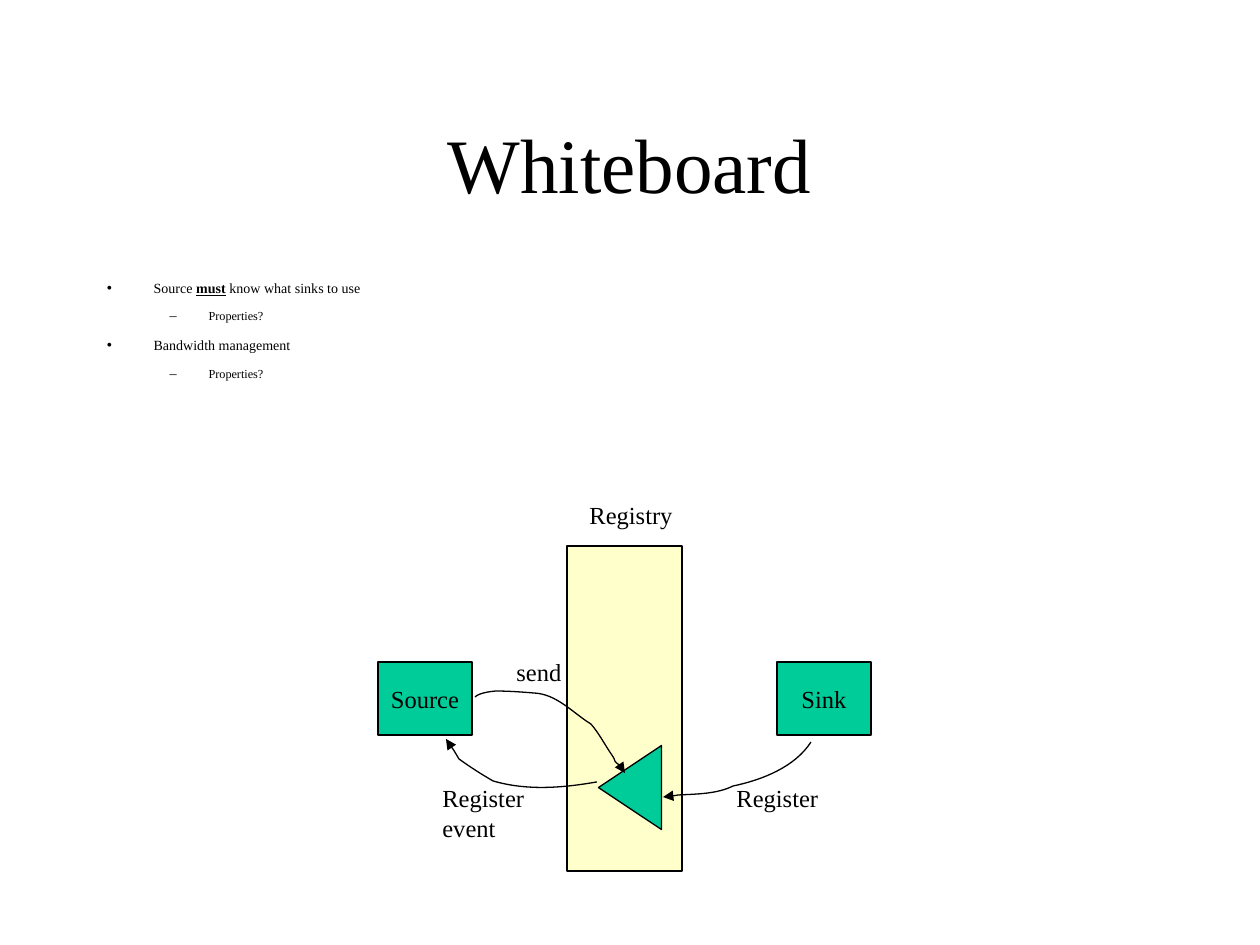
from dataclasses import dataclass

from lxml import etree
from pptx import Presentation
from pptx import util as u
from pptx.dml.color import RGBColor
from pptx.enum import shapes, text
from pptx.oxml.ns import qn

EMU_PER_PX = 914400 / 126
FONT = "Times New Roman"
BLACK, GREEN, CREAM = "000000", "00CC99", "FFFFCC"

Point = tuple[int, int]
Frame = tuple[int, int, int, int]


@dataclass(frozen=True)
class Block:
    frame: Frame
    fill: str
    label: str = ""
    kind: shapes.MSO_SHAPE = shapes.MSO_SHAPE.RECTANGLE
    rotation: int = 0


@dataclass(frozen=True)
class Caption:
    frame: Frame
    wording: str


@dataclass(frozen=True)
class Flow:
    start: Point
    curves: tuple[tuple[Point, Point, Point], ...]


@dataclass(frozen=True)
class Level:
    bullet: str
    margin: int
    indent: int
    size: int


LEVELS = (Level("•", 47, -47, 8), Level("–", 102, -39, 7))
TOPICS = (
    (0, ("Source ", "must", " know what sinks to use")),
    (1, ("Properties?",)),
    (0, ("Bandwidth management",)),
    (1, ("Properties?",)),
)
SOURCE = Block((378, 662, 94, 73), GREEN, "Source")
SINK = Block((777, 662, 94, 73), GREEN, "Sink")
REGISTRY = Block((567, 546, 115, 325), CREAM)
EVENT = Block((588, 756, 84, 63), GREEN,
              kind=shapes.MSO_SHAPE.ISOSCELES_TRIANGLE, rotation=270)
SINK_TO_EVENT = Flow((811, 742), (
    ((795, 767), (762, 780), (733, 786)),
    ((717, 794), (697, 794), (678, 795)),
    ((673, 796), (663, 797), (663, 797)),
))
EVENT_TO_SOURCE = Flow((597, 782), (
    ((563, 788), (527, 791), (493, 781)),
    ((481, 774), (470, 767), (459, 759)),
    ((452, 747), (451, 747), (446, 739)),
))
SOURCE_TO_EVENT = Flow((475, 697), (
    ((480, 692), (496, 691), (496, 691)),
    ((509, 691), (522, 692), (534, 693)),
    ((557, 694), (573, 713), (591, 724)),
    ((599, 733), (605, 745), (612, 755)),
    ((614, 756), (614, 760), (615, 761)),
    ((617, 764), (621, 765), (622, 767)),
    ((625, 772), (625, 770), (625, 773)),
))
DIAGRAM = (
    SOURCE, SINK, REGISTRY, Caption((577, 494, 109, 43), "Registry"),
    SINK_TO_EVENT, Caption((724, 777, 108, 43), "Register"), EVENT,
    EVENT_TO_SOURCE, Caption((430, 777, 108, 72), "Register\nevent"),
    SOURCE_TO_EVENT, Caption((504, 651, 71, 43), "send"),
)


def px(length: float) -> u.Emu:
    return u.Emu(round(length * EMU_PER_PX))


def color(value: str) -> RGBColor:
    return RGBColor.from_string(value)


def style(font, size: int) -> None:
    font.name = FONT
    font.size = u.Pt(size)
    font.color.rgb = color(BLACK)


def place(shape, frame: Frame) -> None:
    shape.left, shape.top, shape.width, shape.height = map(px, frame)


def outline(shape) -> None:
    shape.shadow.inherit = False
    shape.line.color.rgb = color(BLACK)
    shape.line.width = u.Pt(0.75)


def style_label(frame, align) -> None:
    frame.word_wrap = False
    for paragraph in frame.paragraphs:
        paragraph.alignment = align
        for run in paragraph.runs:
            style(run.font, 14)


def draw_block(slide, block: Block) -> None:
    shape = slide.shapes.add_shape(block.kind, *map(px, block.frame))
    shape.rotation = block.rotation
    shape.fill.solid()
    shape.fill.fore_color.rgb = color(block.fill)
    outline(shape)
    if block.label:
        shape.text_frame.text = block.label
        shape.text_frame.vertical_anchor = text.MSO_ANCHOR.MIDDLE
        style_label(shape.text_frame, text.PP_ALIGN.CENTER)


def draw_caption(slide, caption: Caption) -> None:
    frame = slide.shapes.add_textbox(*map(px, caption.frame)).text_frame
    frame.text = caption.wording
    frame.auto_size = text.MSO_AUTO_SIZE.SHAPE_TO_FIT_TEXT
    style_label(frame, text.PP_ALIGN.LEFT)


def bend_segments(shape) -> None:
    outline_path = next(shape._element.iter(qn("a:path")))
    segments = outline_path.findall(qn("a:lnTo"))
    for first in range(0, len(segments), 3):
        curve = etree.SubElement(outline_path, qn("a:cubicBezTo"))
        for segment in segments[first:first + 3]:
            curve.append(segment[0])
            outline_path.remove(segment)


def draw_flow(slide, flow: Flow) -> None:
    points = [(px(x), px(y)) for curve in flow.curves for x, y in curve]
    builder = slide.shapes.build_freeform(*map(px, flow.start))
    builder.add_line_segments(points, close=False)
    shape = builder.convert_to_shape()
    bend_segments(shape)
    shape.fill.background()
    outline(shape)
    etree.SubElement(shape.line._get_or_add_ln(), qn("a:tailEnd"), type="triangle")


def set_bullet(paragraph, level: Level) -> None:
    properties = paragraph._p.get_or_add_pPr()
    properties.set("marL", str(px(level.margin)))
    properties.set("indent", str(px(level.indent)))
    tint = etree.SubElement(properties, qn("a:buClr"))
    etree.SubElement(tint, qn("a:srgbClr"), val=BLACK)
    etree.SubElement(properties, qn("a:buSzPct"), val="115000")
    etree.SubElement(properties, qn("a:buFont"), typeface=FONT)
    etree.SubElement(properties, qn("a:buChar"), char=level.bullet)


def write_title(title) -> None:
    place(title, (94, 84, 1071, 158))
    title.text_frame.text = "Whiteboard"
    title.text_frame.auto_size = text.MSO_AUTO_SIZE.NONE
    title.text_frame.vertical_anchor = text.MSO_ANCHOR.MIDDLE
    heading = title.text_frame.paragraphs[0]
    heading.alignment = text.PP_ALIGN.CENTER
    style(heading.runs[0].font, 44)


def write_topics(body) -> None:
    place(body, (94, 273, 1071, 116))
    frame = body.text_frame
    frame.auto_size = text.MSO_AUTO_SIZE.NONE
    for index, (depth, pieces) in enumerate(TOPICS):
        paragraph = frame.add_paragraph() if index else frame.paragraphs[0]
        level = LEVELS[depth]
        paragraph.level = depth
        set_bullet(paragraph, level)
        paragraph.space_before = u.Pt(level.size if index else 0)
        for piece in pieces:
            run = paragraph.add_run()
            run.text = piece
            style(run.font, level.size)
            run.font.bold = run.font.underline = piece == "must"


def main() -> None:
    deck = Presentation()
    deck.slide_width, deck.slide_height = px(1260), px(945)
    slide = deck.slides.add_slide(deck.slide_layouts[1])
    write_title(slide.shapes.title)
    write_topics(slide.placeholders[1])
    painters = {Block: draw_block, Caption: draw_caption, Flow: draw_flow}
    for element in DIAGRAM:
        painters[type(element)](slide, element)
    deck.save("out.pptx")


if __name__ == "__main__":
    main()
